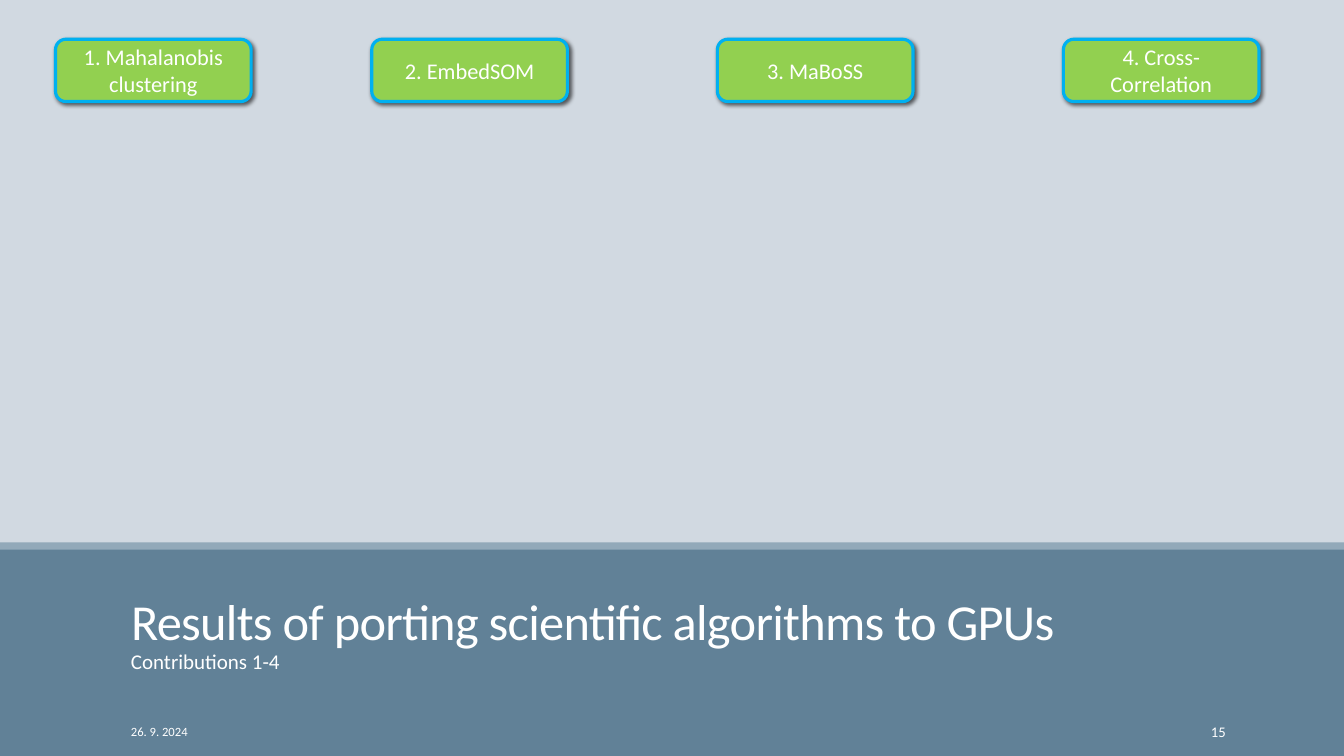
from pptx import Presentation
from pptx.dml.color import RGBColor
from pptx.enum.shapes import MSO_SHAPE
from pptx.enum.text import MSO_ANCHOR, PP_ALIGN
from pptx.oxml import parse_xml
from pptx.oxml.ns import nsdecls
from pptx.util import Cm, Pt

BACKDROP = RGBColor(0xD1, 0xD9, 0xE1)
BAND = RGBColor(0x61, 0x81, 0x97)
STRIPE = RGBColor(0x92, 0xA9, 0xB9)
GREEN = RGBColor(0x92, 0xD0, 0x50)
BLUE = RGBColor(0x00, 0xB0, 0xF0)
WHITE = RGBColor(0xFF, 0xFF, 0xFF)

PAGE_WIDTH, PAGE_HEIGHT = 33.87, 19.05
CONTRIBUTIONS = {
    1.4: "1. Mahalanobis\nclustering",
    9.37: "2. EmbedSOM",
    18.08: "3. MaBoSS",
    26.8: "4. Cross-Correlation",
}
SHADOW = (
    f'<a:effectLst {nsdecls("a")}><a:outerShdw blurRad="38100" dist="25400" '
    'dir="2700000" algn="tl" rotWithShape="0"><a:srgbClr val="000000">'
    '<a:alpha val="60000"/></a:srgbClr></a:outerShdw></a:effectLst>'
)


def place(shape, left, top, width, height):
    """Move and size a shape, in centimetres."""
    values = {"left": left, "top": top, "width": width, "height": height}
    for name, value in values.items():
        setattr(shape, name, Cm(value))


def write(shape, text, size, frame_format, para_format):
    """Put one white paragraph into a shape and return it."""
    frame = shape.text_frame
    for name, value in {"word_wrap": True, **frame_format}.items():
        setattr(frame, name, value)
    para = frame.paragraphs[0]
    para.text = text
    for name, value in para_format.items():
        setattr(para, name, value)
    font_format = {"name": "Calibri", "size": Pt(size), "bold": False}
    for span in (para, *para.runs):
        for name, value in font_format.items():
            setattr(span.font, name, value)
        span.font.color.rgb = WHITE
    return para


def add_block(page, kind, color, box):
    """Add a filled preset shape without an outline or shadow."""
    shape = page.shapes.add_shape(kind, *map(Cm, box))
    shape.shadow.inherit = False
    shape.fill.solid()
    shape.fill.fore_color.rgb = color
    shape.line.fill.background()
    return shape


def add_contribution(page, text, box):
    """Add a rounded label with a blue outline and a soft shadow."""
    label = add_block(page, MSO_SHAPE.ROUNDED_RECTANGLE, GREEN, box)
    label.line.color.rgb = BLUE
    label.line.width = Pt(2.25)
    properties = label.element.spPr
    properties.replace(properties.find("{*}effectLst"), parse_xml(SHADOW))
    write(label, text, 16, {"vertical_anchor": MSO_ANCHOR.MIDDLE},
          {"alignment": PP_ALIGN.CENTER})


def add_title_band(page, left, top, width, height):
    """Add the lower band with its stripe, title and subtitle."""
    add_block(page, MSO_SHAPE.RECTANGLE, BAND, (left, top, width, height))
    add_block(page, MSO_SHAPE.RECTANGLE, STRIPE, (left, top - 0.1, width, 0.18))
    margins = {"margin_top": 0, "margin_bottom": 0}

    title = page.shapes.title
    page.shapes._spTree.append(title.element)
    place(title, left + 3.05, top + 0.33, 28.09, 2.29)
    para = write(title, "Results of porting scientific algorithms to GPUs", 36,
                 {"vertical_anchor": MSO_ANCHOR.BOTTOM, **margins},
                 {"alignment": PP_ALIGN.LEFT, "line_spacing": 0.85})
    para.runs[0].font._element.set("spc", "-50")

    subtitle = page.shapes.add_textbox(0, 0, 0, 0)
    place(subtitle, left + 3.05, top + 2.64, 28.09, 1.65)
    write(subtitle, "Contributions 1-4", 15, margins,
          {"line_spacing": 0.9, "space_after": Pt(6)})


def add_footer(page, left, top, width, height):
    """Add the date at the left end and the page number at the right end."""
    entries = (
        ("26. 9. 2024", 9, left, 6.86, PP_ALIGN.LEFT),
        ("15", 10.5, left + width - 3.63, 3.63, PP_ALIGN.RIGHT),
    )
    for text, size, start, extent, alignment in entries:
        entry = page.shapes.add_textbox(0, 0, 0, 0)
        place(entry, start, top, extent, height)
        write(entry, text, size, {"vertical_anchor": MSO_ANCHOR.MIDDLE},
              {"alignment": alignment})


def main():
    """Build and save the deck."""
    deck = Presentation()
    deck.slide_width, deck.slide_height = Cm(PAGE_WIDTH), Cm(PAGE_HEIGHT)
    page = deck.slides.add_slide(deck.slide_layouts.get_by_name("Title Only"))
    page.background.fill.solid()
    page.background.fill.fore_color.rgb = BACKDROP
    add_title_band(page, 0, 13.77, PAGE_WIDTH, 5.28)
    add_footer(page, 3.05, 17.93, 28.09, 1.02)
    for left, text in CONTRIBUTIONS.items():
        add_contribution(page, text, (left, 0.99, 4.93, 1.57))
    deck.save("out.pptx")


if __name__ == "__main__":
    main()
